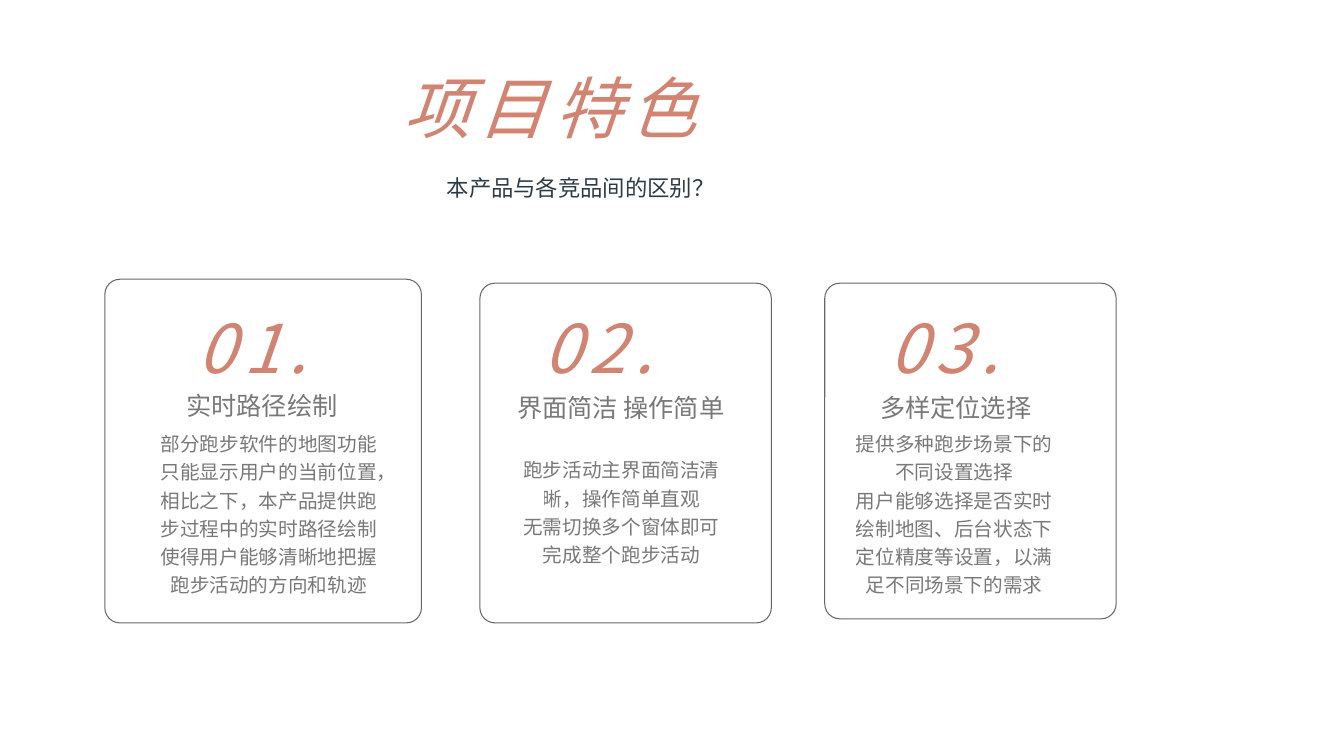
import pptx
import pptx.util
import pptx.dml.color
import pptx.enum.shapes
import pptx.enum.text
import pptx.oxml
import pptx.oxml.ns

Inches = pptx.util.Inches
Pt = pptx.util.Pt
SANS = "Noto Sans CJK SC"
CORAL, GREY, NAVY, EDGE = "D28472", "404040", "2D3B45", "66676C"
RADIUS = 0.15

TITLE = ("项目特色", (3.9, 0.61, 3.23, 0.91))
QUERY = ("本产品与各竞品间的区别？", (3.37, 1.68, 4.78, 0.37))
CARDS = [
    {"frame": (1.04, 2.77, 3.14, 3.41),
     "num": ("01.", (1.86, 2.99, 1.5, 0.91)),
     "head": ("实时路径绘制", (1.75, 3.82, 1.72, 0.4)),
     "body": ("部分跑步软件的地图功能只能显示用户的当前位置，相比之下，本产品提供跑步过程中的实时路径绘制\n"
              "使得用户能够清晰地把握跑步活动的方向和轨迹", (1.44, 4.19, 2.45, 2.06))},
    {"frame": (4.76, 2.81, 2.89, 3.37),
     "num": ("02.", (5.29, 2.99, 1.5, 0.91)),
     "head": ("界面简洁 操作简单", (5.03, 3.84, 2.3, 0.4)),
     "body": ("跑步活动主界面简洁清晰，操作简单直观\n"
              "无需切换多个窗体即可完成整个跑步活动", (5, 4.45, 2.33, 1.49))},
    {"frame": (8.18, 2.81, 2.89, 3.33),
     "num": ("03.", (8.72, 2.99, 1.5, 0.91)),
     "head": ("多样定位选择", (8.63, 3.84, 1.72, 0.4)),
     "body": ("提供多种跑步场景下的不同设置选择\n"
              "用户能够选择是否实时绘制地图、后台状态下定位精度等设置，以满足不同场景下的需求",
              (8.3, 4.19, 2.33, 1.77))},
]

BIG = {"size": 48, "hue": CORAL, "slant": True, "track": 6}
HEAD = {"size": 18, "hue": GREY, "alpha": 70}
BODY = {"size": 14, "hue": GREY, "alpha": 70, "wrap": True, "lead": 1.2}
ASK = {"size": 16, "hue": NAVY, "face": "Lato", "wrap": True}


def paint(color, code):
    color.rgb = pptx.dml.color.RGBColor.from_string(code)


def add_node(parent, tag, **attrs):
    node = pptx.oxml.parse_xml(f"<a:{tag} {pptx.oxml.ns.nsdecls('a')}/>")
    for key, value in attrs.items():
        node.set(key, value)
    parent.append(node)


def add_text(slide, text, spot, size, hue, face=SANS, slant=False,
             track=0, alpha=100, wrap=False, lead=None):
    box = slide.shapes.add_textbox(*map(Inches, spot))
    frame = box.text_frame
    frame.text = text
    frame.word_wrap = wrap
    frame.auto_size = pptx.enum.text.MSO_AUTO_SIZE.SHAPE_TO_FIT_TEXT
    for para in frame.paragraphs:
        if wrap:
            para.alignment = pptx.enum.text.PP_ALIGN.CENTER
        if lead:
            para.line_spacing = lead
        for run in para.runs:
            font = run.font
            font.size = Pt(size)
            font.name = face
            if slant:
                font.italic = True
            font.fill.solid()
            paint(font.fill.fore_color, hue)
            props = run._r.get_or_add_rPr()
            add_node(props, "ea", typeface=face)
            if track:
                props.set("spc", str(track * 100))
            if alpha < 100:
                tint = props.find(".//" + pptx.oxml.ns.qn("a:srgbClr"))
                add_node(tint, "alpha", val=str(alpha * 1000))


def add_frame(slide, spot):
    kind = pptx.enum.shapes.MSO_SHAPE.ROUNDED_RECTANGLE
    card = slide.shapes.add_shape(kind, *map(Inches, spot))
    card.adjustments[0] = RADIUS / min(spot[2:])
    card.shadow.inherit = False
    card.fill.background()
    paint(card.line.color, EDGE)
    card.line.width = Pt(0.75)


def main():
    deck = pptx.Presentation()
    deck.slide_width, deck.slide_height = Inches(13.33), Inches(7.5)
    slide = deck.slides.add_slide(deck.slide_layouts[6])
    for card in CARDS:
        add_frame(slide, card["frame"])
    for card in CARDS:
        for part, style in (("num", BIG), ("body", BODY), ("head", HEAD)):
            add_text(slide, *card[part], **style)
    add_text(slide, *TITLE, **BIG)
    add_text(slide, *QUERY, **ASK)
    deck.save("out.pptx")


if __name__ == "__main__":
    main()
